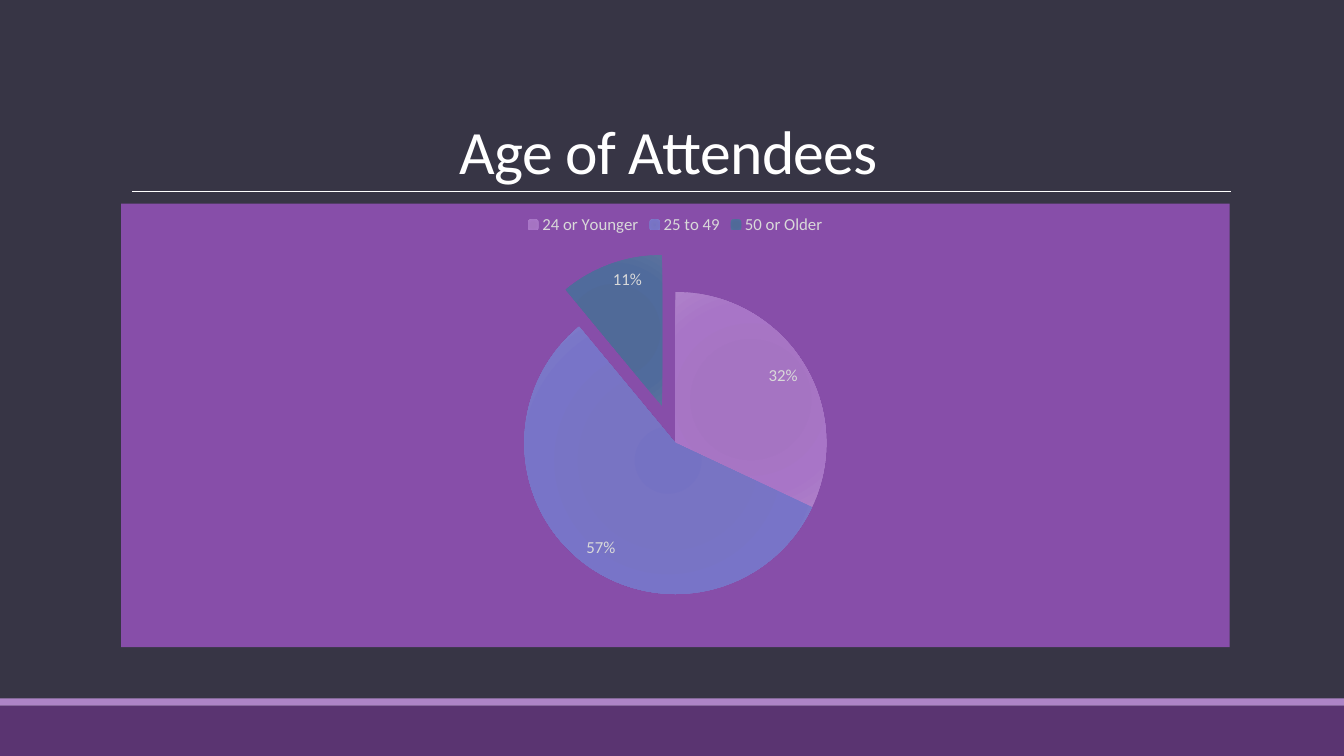
from dataclasses import dataclass
from lxml.etree import SubElement
from pptx import Presentation
from pptx.chart.data import CategoryChartData
from pptx.dml.color import RGBColor
from pptx.enum.chart import XL_CHART_TYPE, XL_LABEL_POSITION, XL_LEGEND_POSITION
from pptx.enum.shapes import MSO_CONNECTOR, MSO_SHAPE
from pptx.enum.text import MSO_ANCHOR, PP_ALIGN
from pptx.oxml import parse_xml
from pptx.oxml.ns import nsdecls, qn
from pptx.util import Cm, Pt

TITLE = "Age of Attendees "
SERIES = "Series 1"
AGES = [
    ("24 or Younger", 32, 0, ("A372C2", "A574C2", "A875C7", "AE81C9")),
    ("25 to 49", 57, 0, ("7572C3", "7874C3", "7874C8", "8481CA")),
    ("50 or Older", 11, 26, ("4E6998", "506A98", "506B9C", "5A729D")),
]
STOPS = (0, 34, 70, 100)
WIDE, HIGH = 33.87, 19.05
LEFT, SPAN = 3.05, 27.94
RULE = (3.33, 31.01, 4.83)


@dataclass(frozen=True)
class Theme:
    back: str = "373545"
    band: str = "5A3471"
    strip: str = "AD84C6"
    panel: str = "874EA9"
    white: str = "FFFFFF"
    label: str = "D9D9D9"
    font: str = "Calibri"
    head: int = 44
    base: int = 10
    note: int = 12


LOOK = Theme()


def rgb(code):
    return RGBColor.from_string(code)


def style(font, size, color):
    font.name, font.size = LOOK.font, Pt(size)
    font.color.rgb = rgb(color)


def add_band(slide, top, high, color):
    band = slide.shapes.add_shape(MSO_SHAPE.RECTANGLE, 0, Cm(top), Cm(WIDE), Cm(high))
    band.shadow.inherit = False
    band.fill.solid()
    band.fill.fore_color.rgb = rgb(color)
    band.line.fill.background()


def add_rule(slide):
    start, end, top = map(Cm, RULE)
    rule = slide.shapes.add_connector(MSO_CONNECTOR.STRAIGHT, start, top, end, top)
    rule.line.color.rgb = rgb(LOOK.white)
    rule.line.width = Pt(0.5)
    SubElement(rule._element.spPr, qn("a:effectLst"))


def set_title(slide):
    title = slide.shapes.title
    title.left, title.top, title.width, title.height = map(Cm, (LEFT, 0.79, SPAN, 4.04))
    frame = title.text_frame
    frame.text = TITLE
    frame.word_wrap = True
    frame.vertical_anchor = MSO_ANCHOR.BOTTOM
    line = frame.paragraphs[0]
    line.alignment, line.line_spacing = PP_ALIGN.CENTER, 0.85
    run = line.runs[0]
    style(run.font, LOOK.head, LOOK.white)
    run._r.get_or_add_rPr().set("spc", "-50")


def make_fade(colors):
    stops = "".join(
        f'<a:gs pos="{stop * 1000}"><a:srgbClr val="{color}"/></a:gs>'
        for stop, color in zip(STOPS, colors)
    )
    return parse_xml(
        f'<a:gradFill {nsdecls("a")} rotWithShape="1"><a:gsLst>{stops}</a:gsLst>'
        '<a:path path="circle"><a:fillToRect l="100000" t="100000" r="100000" b="100000"/>'
        "</a:path></a:gradFill>"
    )


def paint_slice(series, index, burst, colors):
    look = series.points[index].format
    look.fill.solid()
    look.line.fill.background()
    shape = series._element.findall(qn("c:dPt"))[index].find(qn("c:spPr"))
    shape.replace(shape.find(qn("a:solidFill")), make_fade(colors))
    if burst:
        shape.addprevious(parse_xml(f'<c:explosion {nsdecls("c")} val="{burst}"/>'))


def add_pie(slide):
    data = CategoryChartData()
    data.categories = [age[0] for age in AGES]
    data.add_series(SERIES, [age[1] for age in AGES])
    spot = map(Cm, (LEFT, 5.13, SPAN, 11.18))
    chart = slide.shapes.add_chart(XL_CHART_TYPE.PIE, *spot, data).chart
    chart.has_title = False
    style(chart.font, LOOK.base, LOOK.white)
    chart._chartSpace.find(qn("c:txPr")).addprevious(parse_xml(
        f'<c:spPr {nsdecls("c", "a")}><a:solidFill><a:srgbClr val="{LOOK.panel}"/>'
        "</a:solidFill><a:ln><a:noFill/></a:ln></c:spPr>"
    ))
    chart.has_legend = True
    chart.legend.position = XL_LEGEND_POSITION.TOP
    chart.legend.include_in_layout = False
    style(chart.legend.font, LOOK.note, LOOK.label)
    plot = chart.plots[0]
    plot.vary_by_categories = True
    for index, (_, _, burst, colors) in enumerate(AGES):
        paint_slice(plot.series[0], index, burst, colors)
    labels = plot.series[0].data_labels
    labels.show_percentage, labels.show_value = True, False
    labels.number_format, labels.number_format_is_linked = "0%", False
    labels.position = XL_LABEL_POSITION.INSIDE_END
    style(labels.font, LOOK.note, LOOK.label)


def main():
    """Build the slide on the age of attendees."""
    deck = Presentation()
    deck.slide_width, deck.slide_height = Cm(WIDE), Cm(HIGH)
    slide = deck.slides.add_slide(deck.slide_layouts[5])
    slide.background.fill.solid()
    slide.background.fill.fore_color.rgb = rgb(LOOK.back)
    add_band(slide, 17.78, 1.27, LOOK.band)
    add_band(slide, 17.6, 0.18, LOOK.strip)
    add_rule(slide)
    set_title(slide)
    add_pie(slide)
    deck.save("out.pptx")


if __name__ == "__main__":
    main()
